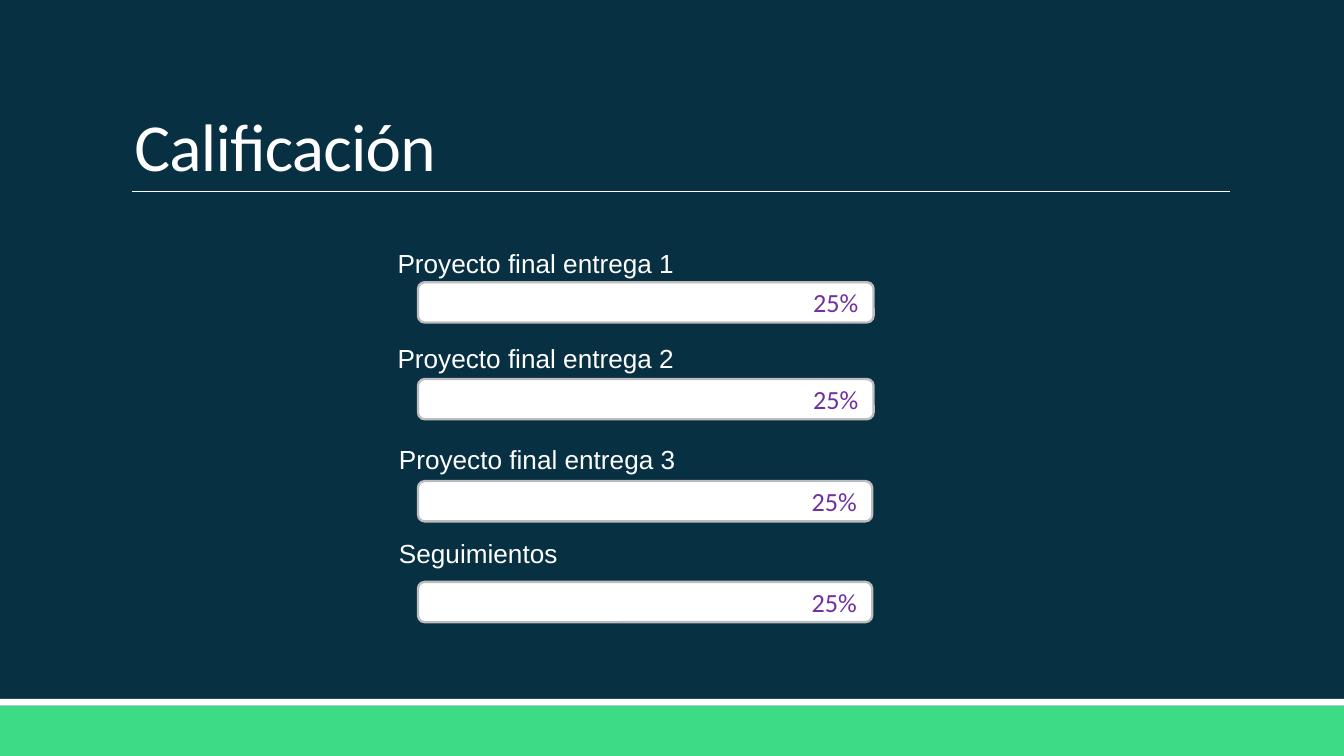
from lxml.etree import SubElement
from pptx import Presentation
from pptx.dml.color import RGBColor
from pptx.enum.shapes import MSO_CONNECTOR as Connector, MSO_SHAPE as Preset
from pptx.enum.text import MSO_ANCHOR as Anchor, MSO_AUTO_SIZE as AutoSize, PP_ALIGN as Align
from pptx.oxml.ns import qn
from pptx.util import Inches, Pt


def paint(color_format, hex_color):
    color_format.rgb = RGBColor.from_string(hex_color)


def add_run(paragraph, text, size, font_name, hex_color):
    run = paragraph.add_run()
    run.text = text
    run.font.size = Pt(size)
    run.font.name = font_name
    paint(run.font.color, hex_color)
    return run


presentation = Presentation()
presentation.slide_width = Inches(10)
presentation.slide_height = presentation.slide_width * 9 // 16
column = presentation.slide_width // 100
row = presentation.slide_height / 56.25

slide = presentation.slides.add_slide(presentation.slide_layouts[5])
slide.background.fill.solid()
paint(slide.background.fill.fore_color, "073042")

for top, height, color in [(52.5, 3.75, "3DDB85"), (52, 0.5, "FFFFFF")]:
    band = slide.shapes.add_shape(
        Preset.RECTANGLE, 0, int(top * row), presentation.slide_width, int(height * row))
    band.shadow.inherit = False
    band.fill.solid()
    paint(band.fill.fore_color, color)
    band.line.fill.background()

title_rule = slide.shapes.add_connector(
    Connector.STRAIGHT, int(9.8 * column), int(14.25 * row), int(91.5 * column), int(14.25 * row))
title_rule.line.width = Pt(0.5)
paint(title_rule.line.color, "FFFFFF")
SubElement(title_rule._element.spPr, qn("a:effectLst"))

title = slide.shapes.title
title.left, title.top = int(9 * column), int(2.4 * row)
title.width, title.height = int(82.5 * column), int(11.9 * row)
title.text_frame.auto_size = AutoSize.NONE
title.text_frame.vertical_anchor = Anchor.BOTTOM
paragraph = title.text_frame.paragraphs[0]
paragraph.alignment = Align.LEFT
paragraph.line_spacing = 0.85
title_run = add_run(paragraph, "Calificación", 36, "Calibri", "FFFFFF")
title_run.font._element.set("spc", "-40")

grades = [
    ("Proyecto final entrega 1", 28.6, 17.9, 25.3, 21, 33.9),
    ("Proyecto final entrega 2", 28.6, 25, 23.7, 28.2, 33.9),
    ("Proyecto final entrega 3", 28.7, 32.5, 25.3, 35.8, 33.8),
    ("Seguimientos", 28.7, 39.5, 17.3, 43.3, 33.8),
]
for name, label_left, label_top, label_width, bar_top, bar_width in grades:
    label = slide.shapes.add_textbox(
        int(label_left * column), int(label_top * row), int(label_width * column), int(3.4 * row))
    label.text_frame.word_wrap = True
    label.text_frame.auto_size = AutoSize.SHAPE_TO_FIT_TEXT
    add_run(label.text_frame.paragraphs[0], name, 14, "Arial", "FFFFFF")

    bar = slide.shapes.add_shape(
        Preset.ROUNDED_RECTANGLE,
        int(31.1 * column), int(bar_top * row), int(bar_width * column), int(3 * row))
    bar.shadow.inherit = False
    bar.fill.solid()
    paint(bar.fill.fore_color, "FFFFFF")
    bar.line.width = Pt(1.25)
    paint(bar.line.color, "BDBDBD")
    bar.text_frame.vertical_anchor = Anchor.MIDDLE
    paragraph = bar.text_frame.paragraphs[0]
    paragraph.alignment = Align.RIGHT
    add_run(paragraph, "25%", 14, "Calibri", "7030A0")

presentation.save("out.pptx")
